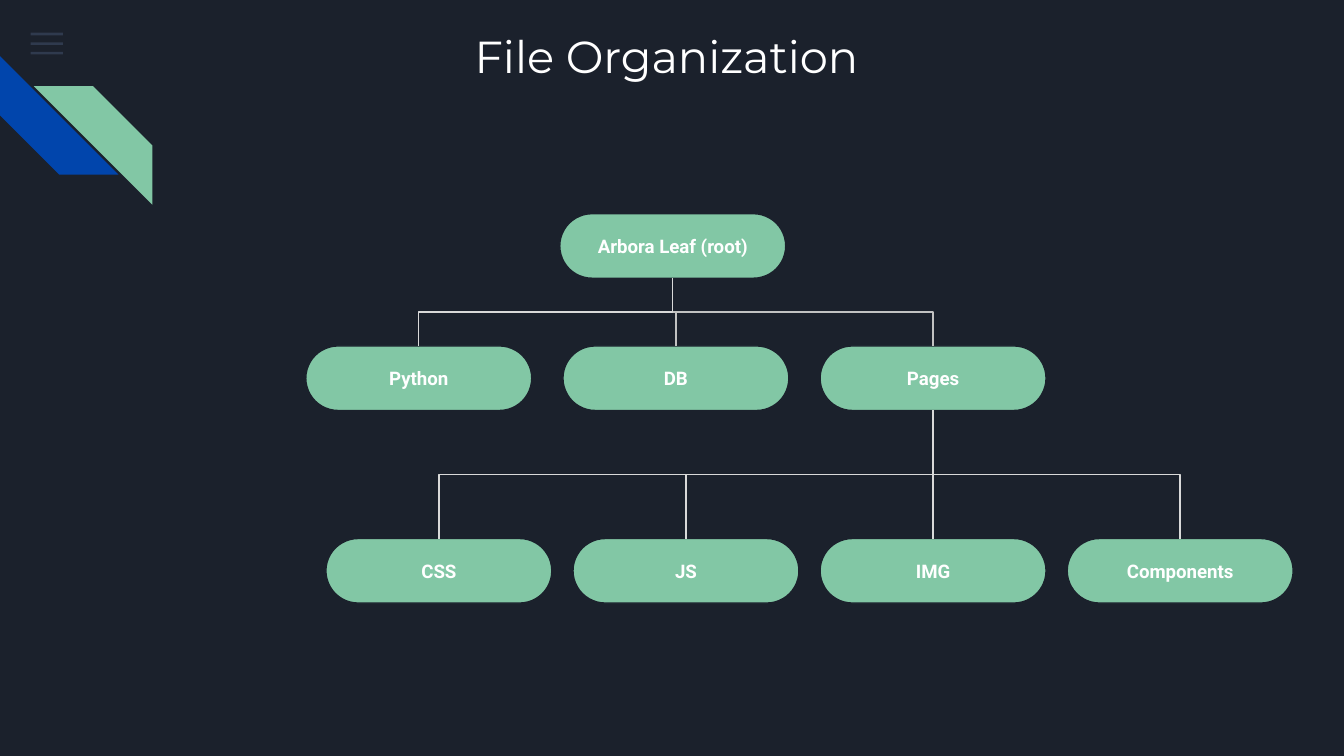
from lxml.etree import SubElement
from pptx import Presentation
from pptx.dml.color import RGBColor
from pptx.enum.shapes import MSO_CONNECTOR, MSO_SHAPE
from pptx.enum.text import MSO_ANCHOR, PP_ALIGN
from pptx.oxml.ns import qn
from pptx.util import Cm, Pt

COLORS = {
    "background": "1B212C",
    "menu": "55688B",
    "blue": "0145AC",
    "green": "82C7A5",
    "text": "FFFFFF",
    "light line": "D9D9D9",
    "dark line": "C2C2C2",
}
TITLE_FONT = {"name": "Montserrat", "size": Pt(24), "bold": False}
NODE_FONT = {"name": "Roboto", "size": Pt(10), "bold": True}
FRAME_FORMAT = {
    "margin_left": Cm(0.25),
    "margin_right": Cm(0.25),
    "margin_top": Cm(0.25),
    "margin_bottom": Cm(0.25),
    "vertical_anchor": MSO_ANCHOR.MIDDLE,
    "word_wrap": True,
}
NODE_WIDTH, NODE_HEIGHT = 4.27, 1.22


def color(name):
    return RGBColor.from_string(COLORS[name])


def set_attributes(target, values):
    for name, value in values.items():
        setattr(target, name, value)


def write_text(shape, text, font, alignment):
    frame = shape.text_frame
    set_attributes(frame, FRAME_FORMAT)
    frame.text = text
    paragraph = frame.paragraphs[0]
    paragraph.alignment = alignment
    set_attributes(paragraph.font, font)
    paragraph.font.color.rgb = color("text")


def add_filled_shape(slide, kind, box, fill):
    shape = slide.shapes.add_shape(kind, *[Cm(round(length, 2)) for length in box])
    shape.shadow.inherit = False
    shape.fill.solid()
    shape.fill.fore_color.rgb = color(fill)
    shape.line.fill.background()
    return shape


def add_title(slide, box, text):
    title = slide.shapes.title
    title.left, title.top, title.width, title.height = [Cm(length) for length in box]
    write_text(title, text, TITLE_FONT, PP_ALIGN.LEFT)


def add_menu_icon(slide, box):
    left, top, width, height = box
    thickness = 0.05
    pitch = (height - thickness) / 2
    for index in range(3):
        bar_box = (left, top + index * pitch, width, thickness)
        bar = add_filled_shape(slide, MSO_SHAPE.RECTANGLE, bar_box, "menu")
        rgb = bar.fill._xPr.find(".//" + qn("a:srgbClr"))
        SubElement(rgb, qn("a:alpha"), val="36000")


def add_stripes(slide, box):
    left, top, width, height = box
    size = 2.24
    blue = add_filled_shape(slide, MSO_SHAPE.DIAGONAL_STRIPE,
                            (left, top, size, size), "blue")
    blue.rotation = 270
    green_box = (left + width - size, top + height - size, size, size)
    green = add_filled_shape(slide, MSO_SHAPE.DIAGONAL_STRIPE, green_box, "green")
    green._element.spPr.find(qn("a:xfrm")).set("flipH", "1")


def add_node(slide, left, top, text):
    node = add_filled_shape(slide, MSO_SHAPE.ROUNDED_RECTANGLE,
                            (left, top, NODE_WIDTH, NODE_HEIGHT), "green")
    node.adjustments[0] = 0.5
    node.line.color.rgb = color("background")
    node.line.width = Pt(0.75)
    write_text(node, text, NODE_FONT, PP_ALIGN.CENTER)
    return node


def connect(slide, parent, child, line_color):
    start_x = parent.left + parent.width // 2
    end_x = child.left + child.width // 2
    start_y, end_y = parent.top + parent.height, child.top
    kind = MSO_CONNECTOR.STRAIGHT if start_x == end_x else MSO_CONNECTOR.ELBOW
    connector = slide.shapes.add_connector(kind, start_x, start_y, end_x, end_y)
    connector.begin_connect(parent, 2)
    connector.end_connect(child, 0)
    if kind == MSO_CONNECTOR.ELBOW:
        # Turn the elbow a quarter so that it leaves its parent downwards
        middle_x, middle_y = (start_x + end_x) // 2, (start_y + end_y) // 2
        half_drop, half_span = (end_y - start_y) // 2, (start_x - end_x) // 2
        set_attributes(connector, {
            "begin_x": middle_x - half_drop,
            "begin_y": middle_y - half_span,
            "end_x": middle_x + half_drop,
            "end_y": middle_y + half_span,
        })
        connector._element.spPr.find(qn("a:xfrm")).set("rot", "5400000")
    connector.line.color.rgb = color(line_color)
    connector.line.width = Pt(0.75)
    SubElement(connector._element.spPr, qn("a:effectLst"))


def add_level(slide, parent, left, top, pitch, children):
    nodes = []
    for index, (text, line_color) in enumerate(children):
        node = add_node(slide, left + index * pitch, top, text)
        connect(slide, parent, node, line_color)
        nodes.append(node)
    return nodes


def add_file_tree(slide, box):
    left, top, width, height = box
    root = add_node(slide, left + 4.8, top, "Arbora Leaf (root)")
    folders = [("Pages", "dark line"), ("DB", "dark line"), ("Python", "light line")]
    pages = add_level(slide, root, left + 9.72, top + 2.5, -4.86, folders)[0]
    parts = [(name, "light line") for name in ("CSS", "JS", "IMG", "Components")]
    pitch = 4.67
    last_row_left = left + width - NODE_WIDTH - 3 * pitch
    add_level(slide, pages, last_row_left, top + height - NODE_HEIGHT, pitch, parts)


def main():
    presentation = Presentation()
    presentation.slide_width, presentation.slide_height = Cm(25.4), Cm(14.29)
    slide = presentation.slides.add_slide(presentation.slide_layouts[5])
    slide.background.fill.solid()
    slide.background.fill.fore_color.rgb = color("background")

    # Corner decoration
    add_menu_icon(slide, (0.58, 0.62, 0.61, 0.41))
    add_stripes(slide, (0, 1.06, 2.88, 2.81))

    # Title and file tree
    add_title(slide, (8.72, 0.23, 7.98, 1.63), "File Organization")
    add_file_tree(slide, (5.78, 4.04, 18.66, 7.36))

    presentation.save("out.pptx")


if __name__ == "__main__":
    main()
